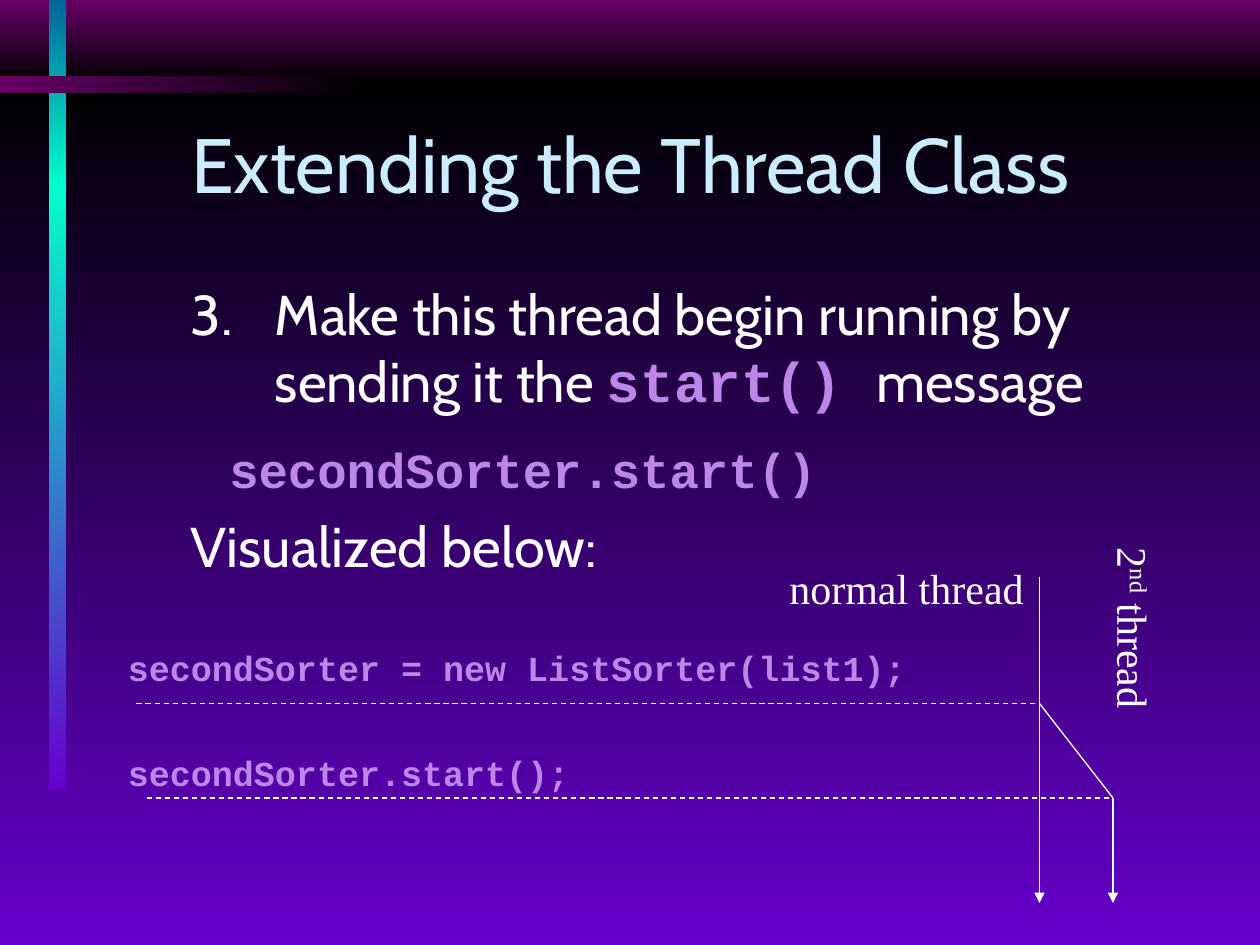
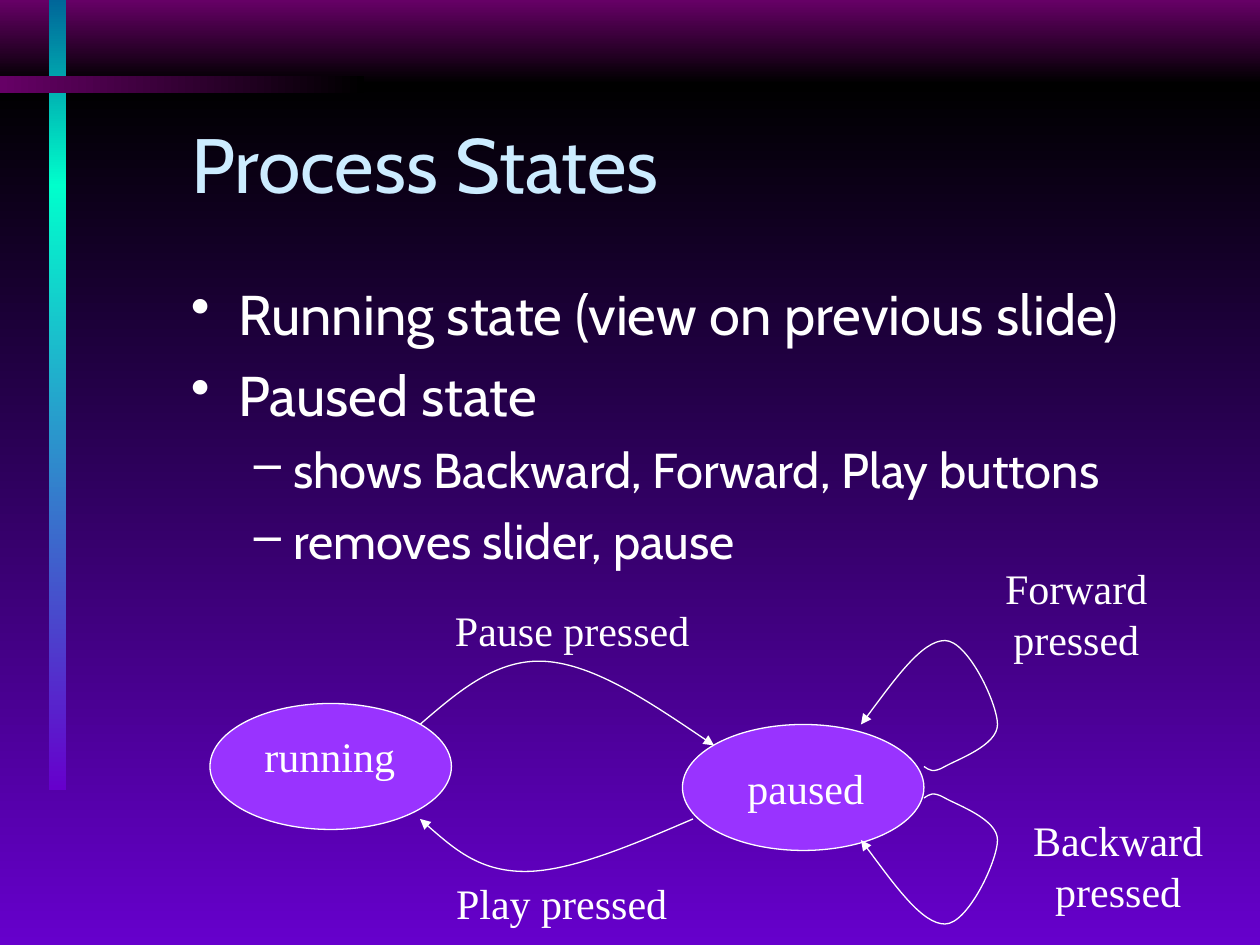
from dataclasses import dataclass

from lxml import etree
from pptx import Presentation
from pptx.dml.color import RGBColor
from pptx.enum.dml import MSO_LINE
from pptx.enum.shapes import MSO_CONNECTOR, MSO_SHAPE
from pptx.enum.text import MSO_ANCHOR, MSO_AUTO_SIZE, PP_ALIGN
from pptx.oxml.ns import qn
from pptx.util import Pt

DASH = MSO_LINE.DASH
LINE = MSO_CONNECTOR.STRAIGHT
RECT, OVAL = MSO_SHAPE.RECTANGLE, MSO_SHAPE.OVAL
LEFT, MID = PP_ALIGN.LEFT, PP_ALIGN.CENTER
TOP, CENTER = MSO_ANCHOR.TOP, MSO_ANCHOR.MIDDLE
FIXED = MSO_AUTO_SIZE.NONE


@dataclass(frozen=True)
class Theme:
    white: str = "FFFFFF"
    black: str = "000000"
    sky: str = "CCECFF"
    lilac: str = "BD87E9"
    base: str = "6600CC"
    plum: str = "660066"
    blue: str = "006699"
    mint: str = "00FFCC"
    oval: str = "9933FF"
    sans: str = "Cabin"
    mono: str = "Courier New"
    serif: str = "Times New Roman"
    head: int = 44
    body: int = 32
    sub: int = 28
    label: int = 24
    code: int = 20
    rule: float = 0.75


T = Theme()
SIZE = (720, 540)
TITLE = (102, 48, 612, 90)


def rgb(color):
    return RGBColor.from_string(color)


def place(box, x, y, w, h):
    """Shift a part by the corner of its region."""
    return box[0] + x, box[1] + y, w, h


def points(values):
    return [Pt(v) for v in values]


# Text
def add_run(para, text, size, face, color, bold=False):
    run = para.add_run()
    run.text = text
    font = run.font
    font.size, font.name, font.bold = Pt(size), face, bold
    font.color.rgb = rgb(color)
    return run


def add_body(para, text, size=T.body):
    return add_run(para, text, size, T.sans, T.white)


def add_code(para, text, size=T.code):
    return add_run(para, text, size, T.mono, T.lilac, True)


def add_label(para, text):
    return add_run(para, text, T.label, T.serif, T.white)


def set_frame(frame, anchor=TOP):
    frame.word_wrap = True
    frame.auto_size = FIXED
    frame.vertical_anchor = anchor
    frame.margin_left = frame.margin_right = Pt(7.2)
    frame.margin_top = frame.margin_bottom = Pt(3.6)


def text_box(slide, box):
    shape = slide.shapes.add_textbox(*points(box))
    set_frame(shape.text_frame)
    return shape


def add_para(frame, before=0, margin=0, indent=0, mark=None, start=None):
    """Add a paragraph; start numbers it, mark gives it a bullet."""
    first = not frame.paragraphs[0].runs
    para = frame.paragraphs[0] if first else frame.add_paragraph()
    props = para._p.get_or_add_pPr()
    props.set("marL", str(Pt(margin)))
    props.set("indent", str(Pt(indent)))
    if mark or start:
        tint = etree.SubElement(props, qn("a:buClr"))
        etree.SubElement(tint, qn("a:srgbClr"), val=T.white)
    if start:
        etree.SubElement(props, qn("a:buAutoNum"), type="arabicPeriod", startAt=str(start))
    elif mark:
        etree.SubElement(props, qn("a:buChar"), char=mark)
    else:
        etree.SubElement(props, qn("a:buNone"))
    para.space_before = Pt(0 if first else before)
    return para


def label(slide, box, text, align=LEFT):
    shape = text_box(slide, box)
    para = add_para(shape.text_frame)
    para.alignment = align
    add_label(para, text)
    return shape


# Lines
def style_line(item, arrow=False):
    item.line.color.rgb = rgb(T.white)
    item.line.width = Pt(T.rule)
    if arrow:
        etree.SubElement(item.line._get_or_add_ln(), qn("a:tailEnd"), type="triangle")


def add_line(slide, box, start, end, arrow=False, dash=False):
    ends = [box[0] + start[0], box[1] + start[1], box[0] + end[0], box[1] + end[1]]
    line = slide.shapes.add_connector(LINE, *points(ends))
    etree.SubElement(line.element.spPr, qn("a:effectLst"))
    if dash:
        line.line.dash_style = DASH
    style_line(line, arrow)


def add_curve(slide, box, dots):
    """Draw an arrow through a start and triples of cubic control points."""
    spots = [(Pt(box[0] + x), Pt(box[1] + y)) for x, y in dots]
    pen = slide.shapes.build_freeform(*spots[0])
    pen.add_line_segments(spots[1:], close=False)
    curve = pen.convert_to_shape()
    curve.shadow.inherit = False
    curve.fill.background()
    style_line(curve, True)
    steps = list(curve.element.iter(qn("a:lnTo")))
    for i in range(0, len(steps), 3):
        bend = etree.Element(qn("a:cubicBezTo"))
        steps[i].addprevious(bend)
        for step in steps[i:i + 3]:
            bend.append(step[0])
            step.getparent().remove(step)


# Shared backdrop, moved to the master
def backdrop(deck, slide):
    wide, high = SIZE
    bands = [
        ((0, 0, wide, 48), T.plum, T.black, 270),
        ((0, 48, wide, high - 48), T.black, T.base, 270),
        ((28, 0, 10, 106.5), T.blue, T.mint, 270),
        ((28, 105, 10, 346.5), T.mint, T.base, 270),
        ((0, 43.5, 208, 9.75), T.black, T.plum, 180),
    ]
    master = deck.slide_master
    master.background.fill.solid()
    master.background.fill.fore_color.rgb = rgb(T.base)
    for i, (box, start, end, angle) in enumerate(bands):
        band = slide.shapes.add_shape(RECT, *points(box))
        band.shadow.inherit = False
        band.line.fill.background()
        band.fill.gradient()
        band.fill.gradient_angle = angle
        for stop, color, spot in zip(band.fill.gradient_stops, (start, end), (0, 1)):
            stop.color.rgb = rgb(color)
            stop.position = spot
        band.element.nvSpPr.cNvPr.set("id", str(100 + i))
        master.shapes.element.insert(2 + i, band.element)


def new_slide(deck, text):
    slide = deck.slides.add_slide(deck.slide_layouts[5])
    title = slide.shapes.title
    title.left, title.top, title.width, title.height = points(TITLE)
    set_frame(title.text_frame, CENTER)
    para = title.text_frame.paragraphs[0]
    para.alignment = LEFT
    add_run(para, text, T.head, T.sans, T.sky)
    return slide


# Slide 1: starting a thread
def start_text(slide, box):
    frame = text_box(slide, box).text_frame
    para = add_para(frame, margin=48, indent=-48, start=3)
    add_body(para, "Make this thread begin running by sending it the ")
    add_code(para, "start() ", T.body)
    add_body(para, "message")
    add_code(add_para(frame, 14.6, margin=22), "secondSorter.start()", T.sub)
    add_body(add_para(frame, 8), "Visualized below:")


def thread_chart(slide, box):
    main, second = 528, 570
    made, begun, end = 84, 138, 198
    # Code beside the time lines
    frame = text_box(slide, place(box, 0, 48, 504, 89)).text_frame
    for text in ("secondSorter = new ListSorter(list1);", "secondSorter.start();"):
        add_code(add_para(frame, 35.6), text)
    # Time lines and the fork
    add_line(slide, box, (main, 12), (main, end), arrow=True)
    add_line(slide, box, (second, begun), (second, end), arrow=True)
    add_line(slide, box, (12, made), (main, made), dash=True)
    add_line(slide, box, (main, made), (second, begun))
    add_line(slide, box, (18, begun), (second, begun), dash=True)
    # Names of the threads
    label(slide, place(box, 378, 0, 180, 36), "normal thread")
    side = label(slide, place(box, 522, 30, 120, 36), "2")
    side.rotation = 90
    para = side.text_frame.paragraphs[0]
    add_label(para, "nd").font._element.set("baseline", "30000")
    add_label(para, " thread")


# Slide 2: process states
def state_text(slide, box):
    frame = text_box(slide, box).text_frame
    for text in ("Running state (view on previous slide)", "Paused state"):
        add_body(add_para(frame, 8, 27, -27, "•"), text)
    for text in ("shows Backward, Forward, Play buttons", "removes slider, pause"):
        para = add_para(frame, 7, 58.5, -22.5, "–")
        para.level = 1
        add_body(para, text, T.sub)


def state_chart(slide, box):
    # States
    for x, y, dx, dy, name in ((0, 84, 24, 12, "running"), (270, 96, 30, 18, "paused")):
        oval = slide.shapes.add_shape(OVAL, *points(place(box, x, y, 138, 72)))
        oval.shadow.inherit = False
        oval.fill.solid()
        oval.fill.fore_color.rgb = rgb(T.oval)
        style_line(oval)
        label(slide, place(box, x + dx, y + dy, 126, 36), name)
    # Moves between states; the lower loop mirrors the upper one
    loop = [(408, 120), (411, 122), (413, 124), (420, 120), (427, 116), (450, 108),
            (450, 96), (450, 84), (433, 48), (420, 48), (407, 48), (390, 72), (372, 96)]
    moves = [
        [(120, 96), (142, 77), (164, 58), (192, 60), (220, 62), (254, 85), (288, 108)],
        [(276, 150), (241, 165), (206, 180), (180, 180), (154, 180), (137, 165), (120, 150)],
        loop,
        [(x, 258 - y) for x, y in loop],
    ]
    for dots in moves:
        add_curve(slide, box, dots)
    # Names of the moves
    for x, y, w, h, text in (
        (96, 24, 222, 36, "Pause pressed"),
        (90, 180, 222, 36, "Play pressed"),
        (426, 0, 138, 65, "Forward pressed"),
        (450, 144, 138, 65, "Backward pressed"),
    ):
        label(slide, place(box, x, y, w, h), text, MID)


def main():
    deck = Presentation()
    deck.slide_width, deck.slide_height = points(SIZE)

    slide = new_slide(deck, "Extending the Thread Class")
    backdrop(deck, slide)
    start_text(slide, (102, 156, 612, 366))
    thread_chart(slide, (66, 318, 642, 198))

    slide = new_slide(deck, "Process States")
    state_text(slide, (102, 156, 612, 198))
    state_chart(slide, (120, 318, 588, 216))

    deck.save("out.pptx")


if __name__ == "__main__":
    main()
